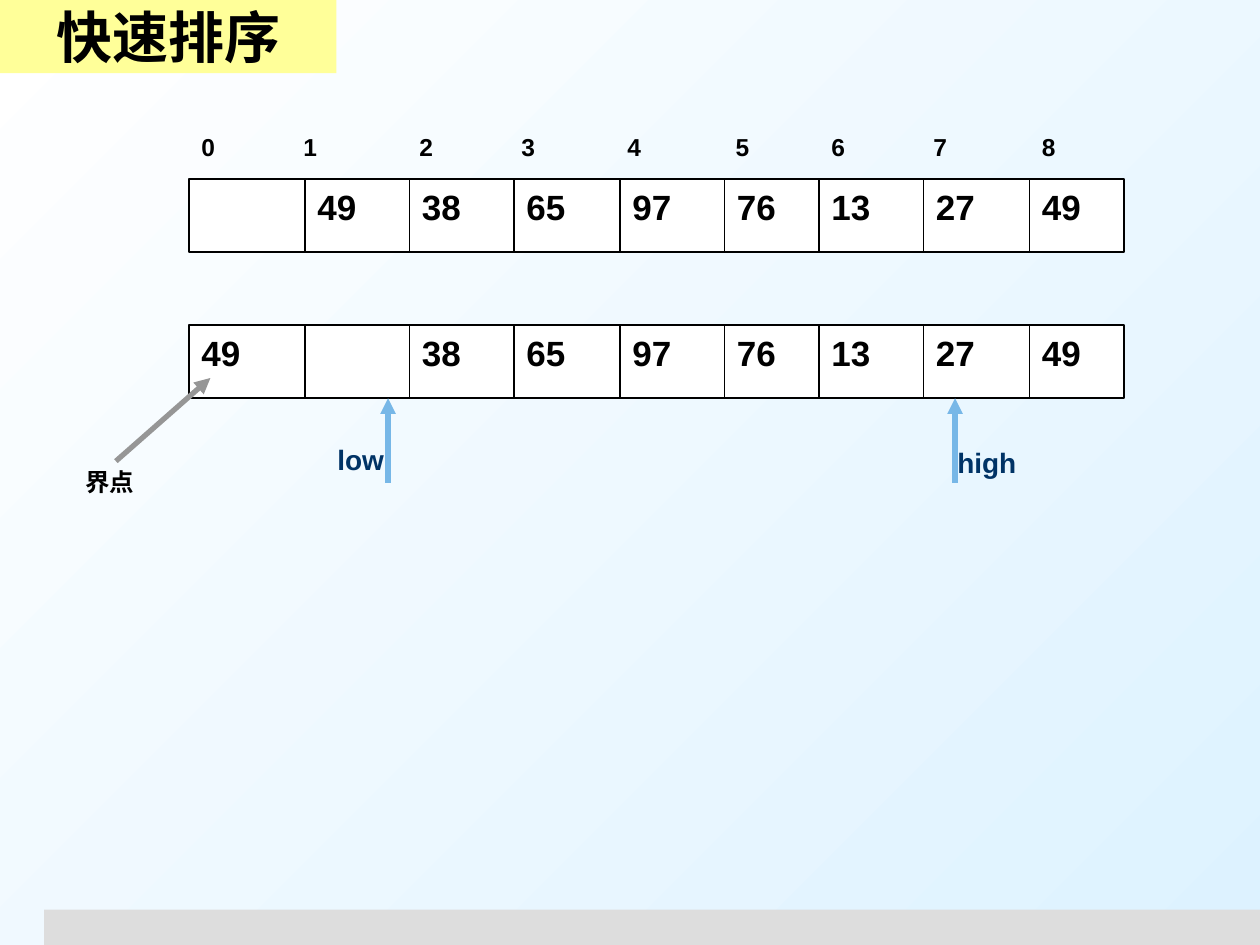
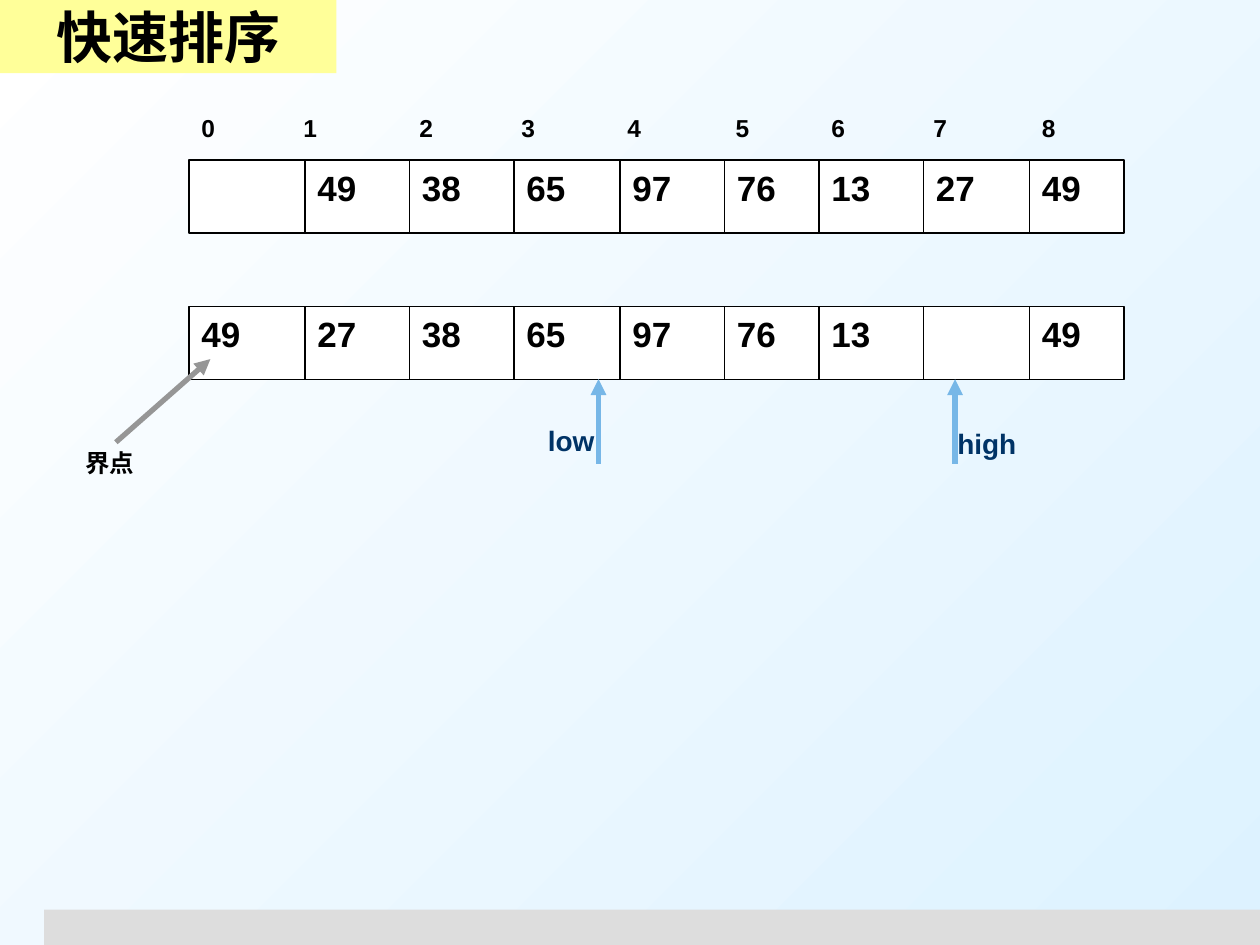
from itertools import pairwise

from lxml.etree import SubElement
from pptx import Presentation
from pptx.dml.color import RGBColor
from pptx.enum.shapes import MSO_CONNECTOR, MSO_SHAPE
from pptx.enum.text import MSO_ANCHOR, PP_ALIGN
from pptx.oxml.ns import qn
from pptx.util import Inches, Pt

COLORS = {
    "black": "000000",
    "white": "FFFFFF",
    "sky": "DDF2FF",
    "footer": "DDDDDD",
    "title": "FFFF99",
    "pointer": "77B7E7",
    "pointer_label": "003366",
    "pivot": "969696",
}
FONT = "Arial"
CELL_EDGES = [1.5, 2.42, 3.25, 4.08, 4.92, 5.75, 6.5, 7.33, 8.17, 8.92]
INDEX_TABS = [0.81, 1.73, 2.54, 3.38, 4.24, 5, 5.81, 6.67]
ROW_HEIGHT = 0.58
HIGH_X = 7.58
INITIAL = ["", "49", "38", "65", "97", "76", "13", "27", "49"]
STEPS = [
    {"top": 1, "low_x": 3.08,
     "current": ["49", "", "38", "65", "97", "76", "13", "27", "49"]},
    {"top": 0.85, "low_x": 4.75,
     "current": ["49", "27", "38", "65", "97", "76", "13", "", "49"]},
]


def rgb(color):
    """Return the named colour."""
    return RGBColor.from_string(COLORS[color])


def write(frame, text, size=20, color="black", align=PP_ALIGN.LEFT,
          anchor=MSO_ANCHOR.TOP, tabs=()):
    """Fill a text frame with one formatted paragraph."""
    frame.word_wrap = True
    frame.vertical_anchor = anchor
    paragraph = frame.paragraphs[0]
    paragraph.alignment = align
    paragraph.space_before = Pt(0)
    if tabs:
        tab_list = SubElement(paragraph._p.get_or_add_pPr(), qn("a:tabLst"))
        for position in tabs:
            SubElement(tab_list, qn("a:tab"), pos=str(Inches(position)), algn="l")
    run = paragraph.add_run()
    run.text = text
    run.font.name = FONT
    run.font.size = Pt(size)
    run.font.bold = True
    run.font.color.rgb = rgb(color)


class Deck:
    """Hold the shared style and the current slide."""

    def __init__(self):
        """Prepare the slide size and the background."""
        self.prs = Presentation()
        self.prs.slide_width, self.prs.slide_height = Inches(10), Inches(7.5)
        self.layout = self.prs.slide_layouts[5]
        self.slide = None
        background = self.prs.slide_master.background.fill
        background.gradient()
        background.gradient_angle = 315
        for stop, color in zip(background.gradient_stops, ("white", "sky")):
            stop.color.rgb = rgb(color)

    def new_slide(self, title):
        """Start a slide with its title band."""
        first = self.slide is None
        self.slide = self.prs.slides.add_slide(self.layout)
        if first:
            self.footer()
        band = self.slide.shapes.title
        band.left, band.top = Inches(0), Inches(0)
        band.width, band.height = Inches(2.67), Inches(0.58)
        band.fill.solid()
        band.fill.fore_color.rgb = rgb("title")
        write(band.text_frame, title, size=32, align=PP_ALIGN.CENTER,
              anchor=MSO_ANCHOR.MIDDLE)

    def footer(self):
        """Put the footer band on the shared layout."""
        band = self.rectangle(0.35, 7.22, 9.65, 0.28, "footer")
        band.element.nvSpPr.cNvPr.set("id", "99")
        self.layout.shapes.element.insert(2, band.element)

    def rectangle(self, left, top, width, height, fill, outline=None):
        """Draw a filled rectangle."""
        shape = self.slide.shapes.add_shape(
            MSO_SHAPE.RECTANGLE, Inches(left), Inches(top),
            Inches(width), Inches(height))
        shape.shadow.inherit = False
        shape.fill.solid()
        shape.fill.fore_color.rgb = rgb(fill)
        if outline:
            shape.line.color.rgb = rgb(outline)
            shape.line.width = Pt(0.75)
        else:
            shape.line.fill.background()
        return shape

    def line(self, start, end, color="black", width=0.75, arrow=False):
        """Draw a straight line, with an arrowhead at its end if asked."""
        connector = self.slide.shapes.add_connector(
            MSO_CONNECTOR.STRAIGHT, *map(Inches, (*start, *end)))
        connector.line.color.rgb = rgb(color)
        connector.line.width = Pt(width)
        if arrow:
            SubElement(connector.line._get_or_add_ln(), qn("a:tailEnd"),
                       type="triangle")
        SubElement(connector.element.spPr, qn("a:effectLst"))

    def label(self, text, left, top, width, height, **style):
        """Place a text box."""
        box = self.slide.shapes.add_textbox(
            Inches(left), Inches(top), Inches(width), Inches(height))
        write(box.text_frame, text, **style)

    def array(self, top, values):
        """Draw one array row with its cell values."""
        left, *dividers, right = CELL_EDGES
        self.rectangle(left, top, right - left, ROW_HEIGHT, "white", "black")
        for x in dividers:
            self.line((x, top), (x, top + ROW_HEIGHT))
        for value, (cell_left, _) in zip(values, pairwise(CELL_EDGES)):
            if value:
                self.label(value, cell_left, top, 0.67, 0.43)

    def pointer(self, name, x, row_bottom, label_left, label_drop):
        """Draw an upward index pointer with its name."""
        self.line((x, row_bottom + 0.67), (x, row_bottom), "pointer", 3, True)
        self.label(name, label_left, row_bottom + label_drop, 0.92, 0.37,
                   size=16, color="pointer_label")

    def pivot(self, row_top):
        """Mark the pivot in the first cell."""
        self.label("界点", 0.58, row_top + 1.08, 0.83, 0.33, size=14)
        self.line((0.92, row_top + 1.08), (1.67, row_top + 0.42),
                  "pivot", 3, True)


def build_step(deck, top, low_x, current):
    """Build the slide for one partition step."""
    deck.new_slide("快速排序")
    indices = "\t".join(str(index) for index in range(len(INITIAL)))
    deck.label(indices, CELL_EDGES[0], top, 7.42, 0.33, size=14, tabs=INDEX_TABS)
    deck.array(top + 0.42, INITIAL)
    current_top = top + 1.58
    deck.array(current_top, current)
    bottom = current_top + ROW_HEIGHT
    deck.pointer("high", HIGH_X, bottom, HIGH_X - 0.08, 0.33)
    deck.pointer("low", low_x, bottom, low_x - 0.5, 0.3)
    deck.pivot(current_top)


def main():
    """Build and save the presentation."""
    deck = Deck()
    for step in STEPS:
        build_step(deck, **step)
    deck.prs.save("out.pptx")


if __name__ == "__main__":
    main()
